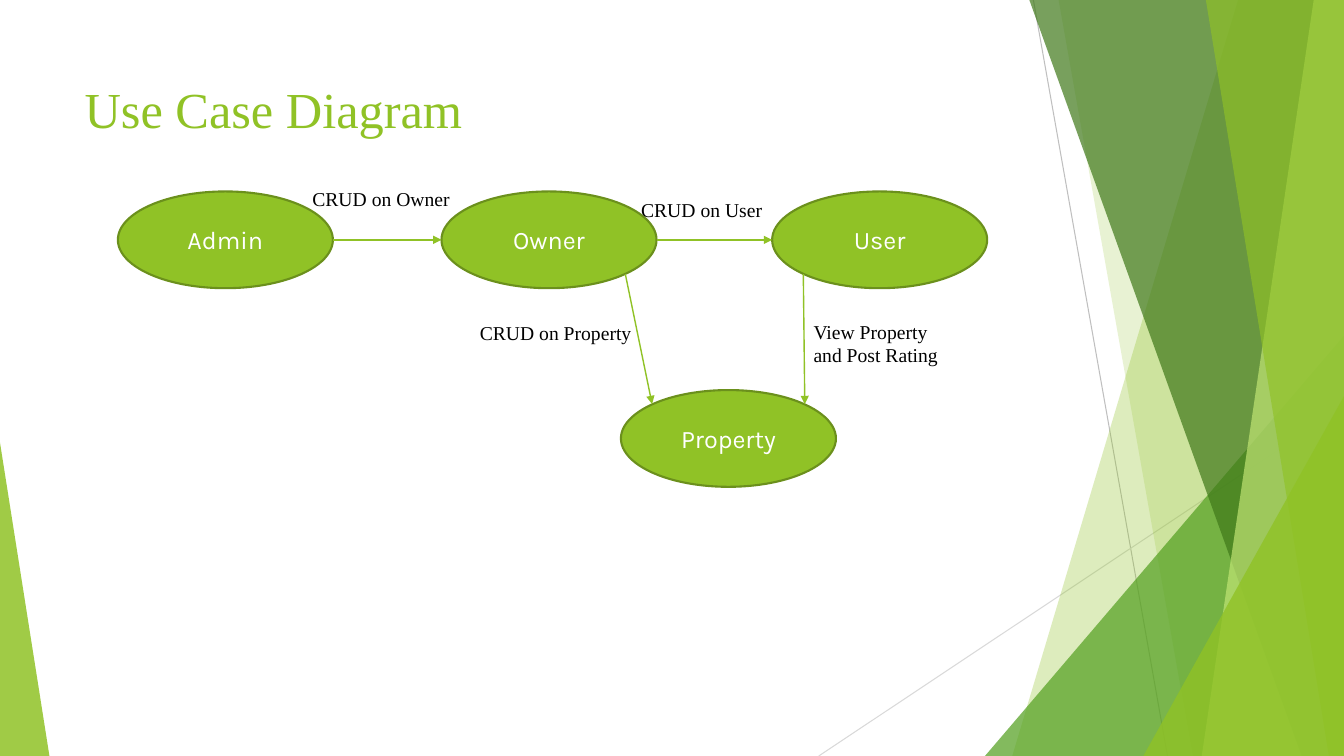
"""Build the Use Case Diagram slide on a grid of 100 columns by 100 rows."""
from lxml.etree import SubElement
from pptx import Presentation
from pptx.dml.color import RGBColor
from pptx.enum.shapes import MSO_CONNECTOR as LINK, MSO_SHAPE as SHAPE
from pptx.enum.text import MSO_ANCHOR as ANCHOR, PP_ALIGN as ALIGN
from pptx.oxml.ns import qn
from pptx.util import Inches, Pt

GREEN = RGBColor(0x90, 0xC2, 0x26)
OUTLINE = RGBColor(0x6B, 0x90, 0x1C)
LEAF = RGBColor(0x54, 0xA0, 0x21)
FOREST = RGBColor(0x3F, 0x78, 0x19)
LIME = RGBColor(0xC0, 0xE4, 0x74)
GRAY = RGBColor(0xBF, 0xBF, 0xBF)
PALE_GRAY = RGBColor(0xD9, 0xD9, 0xD9)
WHITE = RGBColor(0xFF, 0xFF, 0xFF)
BLACK = RGBColor(0x00, 0x00, 0x00)
SERIF = "Times New Roman"

deck = Presentation()
deck.slide_width, deck.slide_height = Inches(13.33), Inches(7.5)
COL, ROW = deck.slide_width / 100, deck.slide_height / 100
shapes = deck.slides.add_slide(deck.slide_layouts[6]).shapes


def write(holder, wording, font_name, size, color):
    frame = holder.text_frame
    frame.word_wrap = True
    frame.text = wording
    font = frame.paragraphs[0].runs[0].font
    font.name, font.size, font.color.rgb = font_name, Pt(size), color
    return frame


def draw_line(start, end, color, width):
    line = shapes.add_connector(LINK.STRAIGHT, round(start[0] * COL), round(start[1] * ROW),
                                round(end[0] * COL), round(end[1] * ROW))
    line.line.color.rgb, line.line.width = color, Pt(width)
    SubElement(line.element.spPr, qn("a:effectLst"))
    return line


draw_line((76.89, 0), (86.87, 100), GRAY, 0.75)
draw_line((100, 53.73), (60.92, 100), PALE_GRAY, 0.75)

# kind, left or top-left column, bottom-left column or top row, and so on are given per facet
facets = [
    ("band", (92.12, 100, 100, 75.32), GREEN, 30),
    ("band", (78.77, 100, 100, 88.75), GREEN, 20),
    ("triangle", (73.29, 44.4, 26.71, 1), LEAF, 72),
    ("band", (76.59, 100, 100, 96.85), FOREST, 70),
    ("band", (97.75, 100, 100, 89.42), LIME, 70),
    ("band", (89.72, 100, 100, 98.87), GREEN, 65),
    ("triangle", (85.07, 52.4, 14.93, 1), GREEN, 80),
    ("triangle", (0, 58.53, 3.68, 0), GREEN, 85),
]
for kind, measures, color, opacity in facets:
    if kind == "band":
        corners = [(x * COL, y * ROW) for x, y in zip(measures, (0, 0, 100, 100))]
        outline = shapes.build_freeform(*corners[0])
        outline.add_line_segments(corners[1:], close=True)
        facet = outline.convert_to_shape()
    else:
        left, top, width, apex = measures
        facet = shapes.add_shape(SHAPE.ISOSCELES_TRIANGLE, round(left * COL), round(top * ROW),
                                 round(width * COL), round((100 - top) * ROW))
        facet.adjustments[0] = apex
    facet.shadow.inherit = False
    facet.line.fill.background()
    facet.fill.solid()
    facet.fill.fore_color.rgb = color
    tint = facet.element.spPr.find(qn("a:solidFill")).find(qn("a:srgbClr"))
    SubElement(tint, qn("a:alpha"), val=str(opacity * 1000))

title = shapes.add_textbox(round(5.55 * COL), round(8.93 * ROW), round(70.52 * COL), round(10.93 * ROW))
write(title, "Use Case Diagram", SERIF, 36, GREEN).vertical_anchor = ANCHOR.MIDDLE

OVAL_W, OVAL_H = 16, 12.8
centers = {"Admin": (16.77, 31.73), "Owner": (40.85, 31.73),
           "User": (65.45, 31.73), "Property": (54.2, 58)}
for role, (x, y) in centers.items():
    oval = shapes.add_shape(SHAPE.OVAL, round((x - OVAL_W / 2) * COL), round((y - OVAL_H / 2) * ROW),
                            round(OVAL_W * COL), round(OVAL_H * ROW))
    oval.shadow.inherit = False
    oval.fill.solid()
    oval.fill.fore_color.rgb = GREEN
    oval.line.color.rgb, oval.line.width = OUTLINE, Pt(1.5)
    caption = write(oval, role, "Karla", 18, WHITE)
    caption.vertical_anchor = ANCHOR.MIDDLE
    caption.paragraphs[0].alignment = ALIGN.CENTER

DIAGONAL = 0.71
flows = [
    ("Admin", (1, 0), "Owner", (-1, 0)),
    ("Owner", (1, 0), "User", (-1, 0)),
    ("User", (-DIAGONAL, DIAGONAL), "Property", (DIAGONAL, -DIAGONAL)),
    ("Owner", (DIAGONAL, DIAGONAL), "Property", (-DIAGONAL, -DIAGONAL)),
]
for source, leaving, target, entering in flows:
    start, end = [(centers[role][0] + dx * OVAL_W / 2, centers[role][1] + dy * OVAL_H / 2)
                  for role, (dx, dy) in ((source, leaving), (target, entering))]
    arrow = draw_line(start, end, GREEN, 1)
    SubElement(arrow.line._get_or_add_ln(), qn("a:tailEnd"), type="triangle")

actions = [
    ("CRUD on Owner", 22.5, 24, 12.23, 4.53),
    ("CRUD on User", 46.96, 25.47, 12.23, 4.53),
    ("CRUD on Property", 34.96, 41.73, 12.9, 4.53),
    ("View Property and Post Rating", 59.79, 41.6, 12.23, 7.6),
]
for action, left, top, width, height in actions:
    label = shapes.add_textbox(round(left * COL), round(top * ROW), round(width * COL), round(height * ROW))
    write(label, action, SERIF, 14, BLACK)

deck.save("out.pptx")
